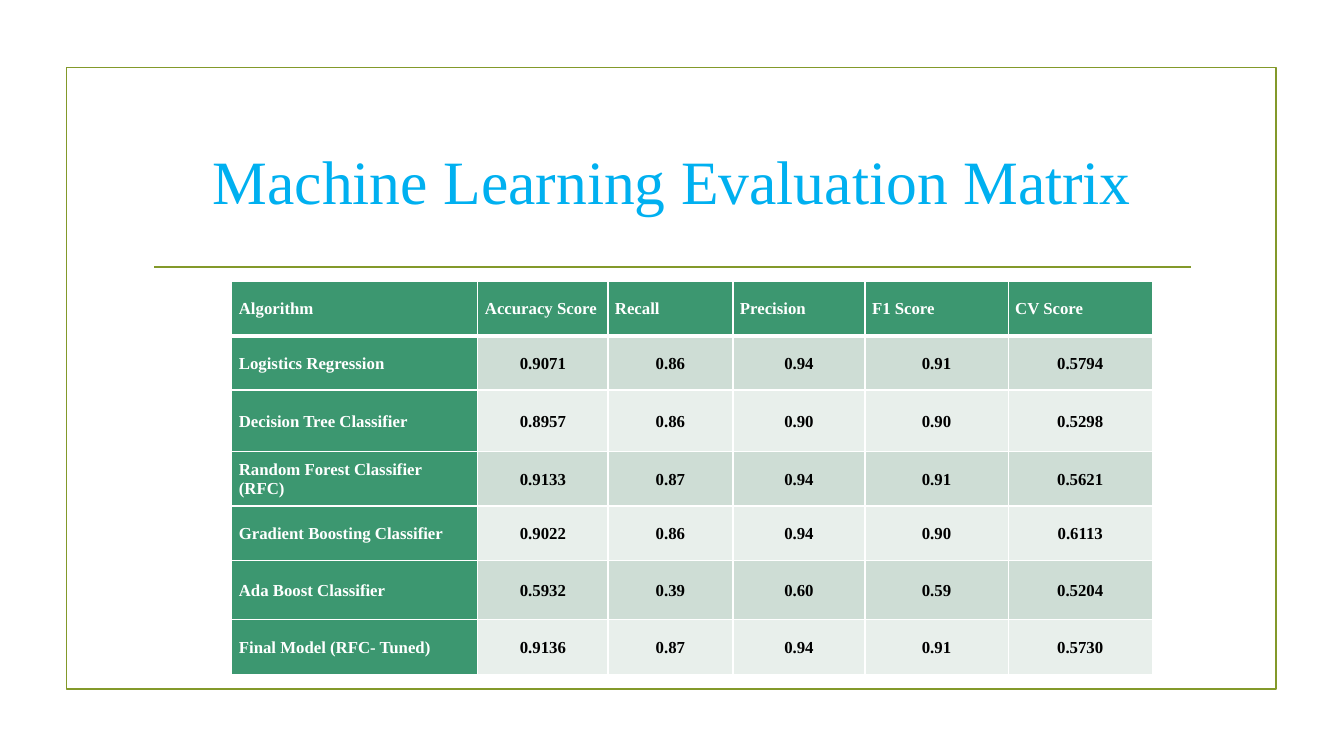
import pptx
import pptx.dml.color
import pptx.enum.shapes
import pptx.enum.text
import pptx.oxml
import pptx.oxml.ns
import pptx.util

ALIGN = pptx.enum.text.PP_ALIGN
MIDDLE = pptx.enum.text.MSO_ANCHOR.MIDDLE
FONT = "Times New Roman"
SLIDE_WIDTH = pptx.util.Inches(13.33)
SLIDE_HEIGHT = pptx.util.Inches(7.5)

COLORS = {
    "olive": "83992A",
    "title": "00B0F0",
    "header": "3C9770",
    "odd_row": "CEDDD5",
    "even_row": "E8EFEB",
    "white": "FFFFFF",
    "black": "000000",
}

# Left, top, width, height in percent of the slide
FRAME_BOX = (4.95, 8.93, 90.02, 82.27)
RULE_BOX = (11.48, 35.33, 77.12, 0)
TITLE_BOX = (10.65, 14.27, 78.77, 19.07)
TABLE_BOX = (17.25, 37.2, 68.5, 52)

COLUMN_WEIGHTS = [2.44, 1.29, 1.24, 1.31, 1.42, 1.43]
ROW_WEIGHTS = [0.54, 0.54, 0.61, 0.54, 0.54, 0.59, 0.54]

SCORES = [
    ["Algorithm", "Accuracy Score", "Recall", "Precision", "F1 Score", "CV Score"],
    ["Logistics Regression", "0.9071", "0.86", "0.94", "0.91", "0.5794"],
    ["Decision Tree Classifier", "0.8957", "0.86", "0.90", "0.90", "0.5298"],
    ["Random Forest Classifier (RFC)", "0.9133", "0.87", "0.94", "0.91", "0.5621"],
    ["Gradient Boosting Classifier", "0.9022", "0.86", "0.94", "0.90", "0.6113"],
    ["Ada Boost Classifier", "0.5932", "0.39", "0.60", "0.59", "0.5204"],
    ["Final Model (RFC- Tuned)", "0.9136", "0.87", "0.94", "0.91", "0.5730"],
]


def rgb(name):
    return pptx.dml.color.RGBColor.from_string(COLORS[name])


def on_slide(box):
    """Turn a box in percent of the slide into lengths."""
    left, top, width, height = (share / 100 for share in box)
    return (int(left * SLIDE_WIDTH), int(top * SLIDE_HEIGHT),
            int(width * SLIDE_WIDTH), int(height * SLIDE_HEIGHT))


def write_text(frame, text, size, color, bold=False, align=ALIGN.CENTER,
               line_spacing=None, space_after=None):
    frame.word_wrap = True
    para = frame.paragraphs[0]
    para.alignment = align
    para.line_spacing = line_spacing
    if space_after is not None:
        para.space_after = pptx.util.Pt(space_after)
    span = para.add_run()
    span.text = text
    span.font.name = FONT
    span.font.size = pptx.util.Pt(size)
    span.font.bold = bold
    span.font.color.rgb = rgb(color)


def draw_outline(line):
    line.color.rgb = rgb("olive")
    line.width = pptx.util.Pt(1.25)


def add_frame(page, box):
    frame = page.shapes.add_shape(
        pptx.enum.shapes.MSO_SHAPE.RECTANGLE, *on_slide(box))
    frame.shadow.inherit = False
    frame.fill.background()
    draw_outline(frame.line)


def add_rule(page, box):
    left, top, width, height = on_slide(box)
    rule = page.shapes.add_connector(
        pptx.enum.shapes.MSO_CONNECTOR.STRAIGHT,
        left, top, left + width, top + height)
    draw_outline(rule.line)
    properties = rule._element.spPr
    properties.append(properties.makeelement(pptx.oxml.ns.qn("a:effectLst"), {}))


def add_title(page, box):
    title = page.shapes.add_textbox(*on_slide(box))
    title.text_frame.vertical_anchor = MIDDLE
    write_text(title.text_frame, "Machine Learning Evaluation Matrix",
               size=44, color="title")


def set_borders(cell, bottom_points):
    """Give the cell white edges, 1 pt wide except for the bottom one."""
    properties = cell._tc.get_or_add_tcPr()
    edges = {"lnL": 1, "lnR": 1, "lnT": 1, "lnB": bottom_points}
    for position, (edge, points) in enumerate(edges.items()):
        properties.insert(position, pptx.oxml.parse_xml(
            f'<a:{edge} {pptx.oxml.ns.nsdecls("a")} w="{pptx.util.Pt(points)}">'
            f'<a:solidFill><a:srgbClr val="{COLORS["white"]}"/></a:solidFill>'
            f'</a:{edge}>'))


def fill_cell(cell, text, row, column):
    is_header = row == 0
    is_label = is_header or column == 0
    if is_label:
        fill = "header"
    else:
        fill = "odd_row" if row % 2 else "even_row"
    cell.fill.solid()
    cell.fill.fore_color.rgb = rgb(fill)
    cell.vertical_anchor = MIDDLE
    cell.margin_left = cell.margin_right = pptx.util.Inches(0.07)
    cell.margin_top = cell.margin_bottom = 0
    if is_header:
        align = ALIGN.JUSTIFY
    else:
        align = ALIGN.LEFT if is_label else ALIGN.CENTER
    write_text(cell.text_frame, text, size=12, bold=True, align=align,
               color="white" if is_label else "black",
               line_spacing=1.07, space_after=8)
    set_borders(cell, bottom_points=3 if is_header else 1)


def add_score_table(page, box):
    left, top, width, height = on_slide(box)
    table = page.shapes.add_table(
        len(SCORES), len(SCORES[0]), left, top, width, height).table
    for column, weight in zip(table.columns, COLUMN_WEIGHTS):
        column.width = int(width * weight / sum(COLUMN_WEIGHTS))
    for row, weight in zip(table.rows, ROW_WEIGHTS):
        row.height = int(height * weight / sum(ROW_WEIGHTS))
    for row, texts in enumerate(SCORES):
        for column, text in enumerate(texts):
            cell = table.cell(row, column)
            fill_cell(cell, text, row, column)
            if row == 1:
                set_top_edge(cell)


def set_top_edge(cell):
    """Match the top edge to the thick line below the header."""
    edge = cell._tc.tcPr.find(pptx.oxml.ns.qn("a:lnT"))
    edge.set("w", str(pptx.util.Pt(3)))


def main():
    deck = pptx.Presentation()
    deck.slide_width = SLIDE_WIDTH
    deck.slide_height = SLIDE_HEIGHT
    page = deck.slides.add_slide(deck.slide_layouts[6])
    add_frame(page, FRAME_BOX)
    add_rule(page, RULE_BOX)
    add_title(page, TITLE_BOX)
    add_score_table(page, TABLE_BOX)
    deck.save("out.pptx")


if __name__ == "__main__":
    main()
